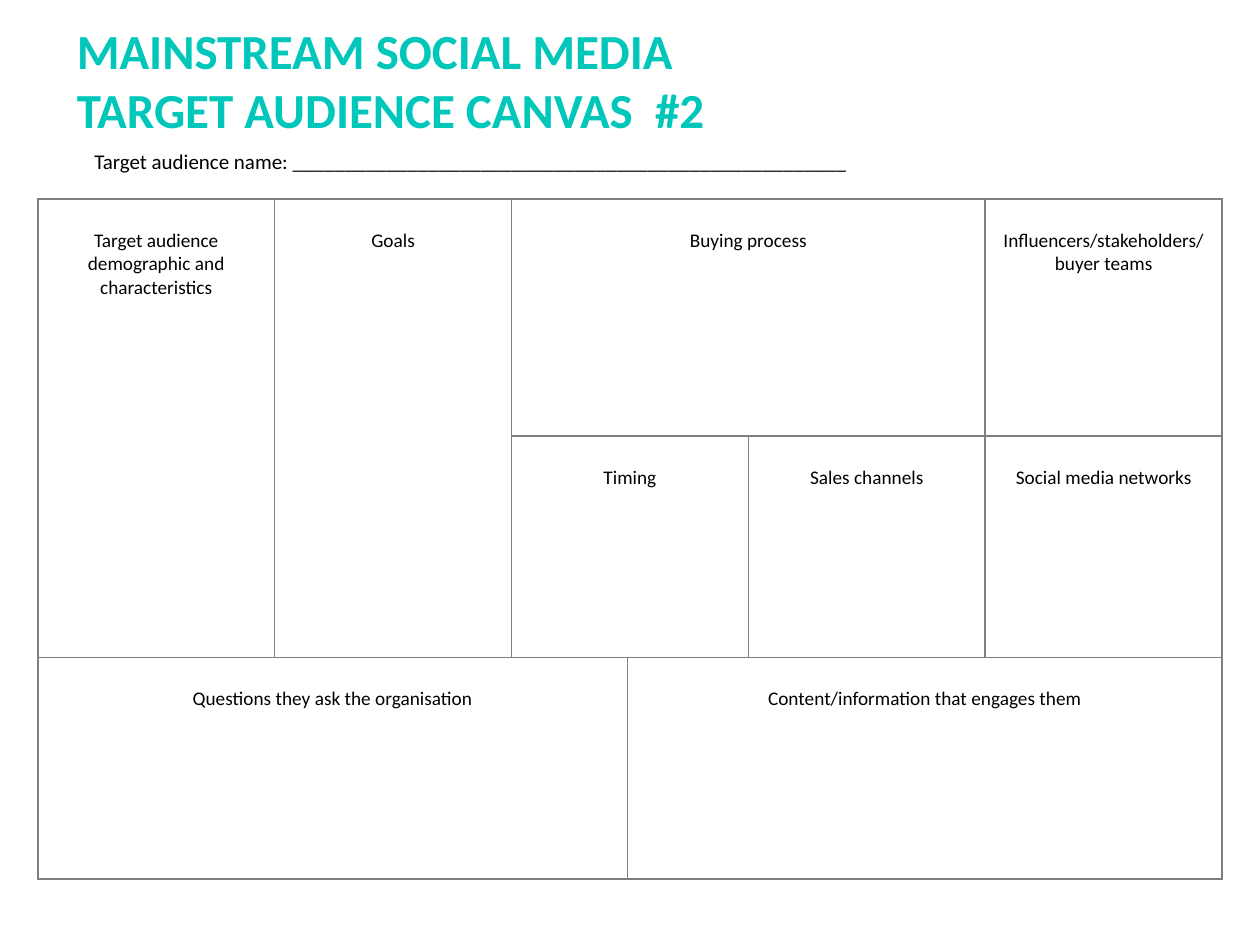
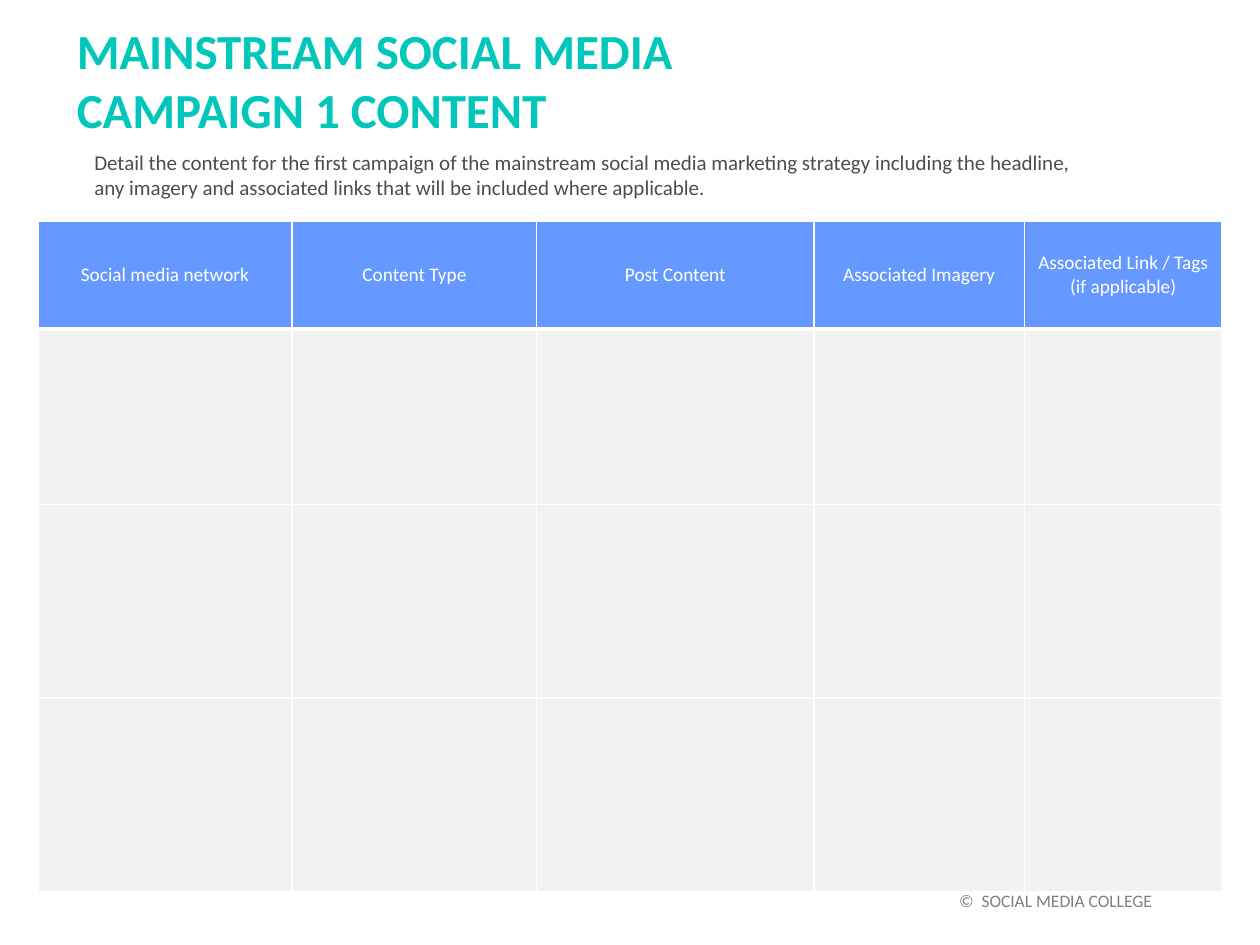
from dataclasses import dataclass

from lxml import etree
from pptx import Presentation
from pptx.dml.color import RGBColor
from pptx.enum.text import MSO_ANCHOR, MSO_AUTO_SIZE, PP_ALIGN
from pptx.oxml.ns import qn
from pptx.util import Pt

LEFT, CENTER, RIGHT = PP_ALIGN.LEFT, PP_ALIGN.CENTER, PP_ALIGN.RIGHT
TOP, MIDDLE = MSO_ANCHOR.TOP, MSO_ANCHOR.MIDDLE
NO_FIT = MSO_AUTO_SIZE.NONE
TITLE_ONLY = 5


@dataclass(frozen=True)
class Theme:
    font: str = "Calibri"
    teal: str = "00C7BA"
    black: str = "000000"
    white: str = "FFFFFF"
    charcoal: str = "4C4D4F"
    grey: str = "808080"
    rule: str = "7F7F7F"
    header: str = "6699FF"
    panel: str = "F2F2F2"
    title_size: int = 28
    intro_size: int = 12
    cell_size: int = 11
    footer_size: int = 10
    table_left: float = 21.6
    table_width: float = 676.8


class Deck:
    def __init__(self, theme):
        self.theme = theme
        self.prs = Presentation()
        self.prs.slide_width, self.prs.slide_height = Pt(720), Pt(540)
        self.slide = None

    def add_lines(self, tf, lines, size, color, align=LEFT, bold=False):
        for i, line in enumerate(lines):
            p = tf.add_paragraph() if i else tf.paragraphs[0]
            p.alignment = align
            r = p.add_run()
            r.text = line
            r.font.name = self.theme.font
            r.font.size = Pt(size)
            r.font.bold = bold
            r.font.color.rgb = RGBColor.from_string(color)

    def frame(self, sp, anchor):
        tf = sp.text_frame
        tf.word_wrap = True
        tf.auto_size = NO_FIT
        tf.vertical_anchor = anchor
        return tf

    def add_slide(self, *title):
        self.slide = self.prs.slides.add_slide(self.prs.slide_layouts[TITLE_ONLY])
        sp = self.slide.shapes.title
        sp.left, sp.top, sp.width, sp.height = Pt(36.7), Pt(7.9), Pt(646), Pt(74.9)
        self.add_lines(self.frame(sp, MIDDLE), title, self.theme.title_size,
                       self.theme.teal, bold=True)

    def text(self, x, y, w, h, line, size, color, align=LEFT, anchor=MIDDLE):
        sp = self.slide.shapes.add_textbox(Pt(x), Pt(y), Pt(w), Pt(h))
        self.add_lines(self.frame(sp, anchor), [line], size, color, align)

    def table(self, y, cols, rows, has_header):
        sp = self.slide.shapes.add_table(
            len(rows), len(cols), Pt(self.theme.table_left), Pt(y),
            Pt(self.theme.table_width), Pt(sum(rows)))
        tbl = sp.table
        tbl.first_row, tbl.horz_banding = has_header, False
        for col, width in zip(tbl.columns, cols):
            col.width = Pt(width)
        for row, height in zip(tbl.rows, rows):
            row.height = Pt(height)
        return tbl

    def style_cell(self, cell, border, fill=None, top=1, bottom=1):
        tc_pr = cell._tc.get_or_add_tcPr()
        for side, width in (("L", 1), ("R", 1), ("T", top), ("B", bottom)):
            ln = etree.SubElement(tc_pr, qn(f"a:ln{side}"), w=str(Pt(width)))
            solid = etree.SubElement(ln, qn("a:solidFill"))
            etree.SubElement(solid, qn("a:srgbClr"), val=border)
        if fill:
            cell.fill.solid()
            cell.fill.fore_color.rgb = RGBColor.from_string(fill)
        else:
            cell.fill.background()

    def cell_text(self, cell, line, color, anchor):
        cell.vertical_anchor = anchor
        self.add_lines(cell.text_frame, [line], self.theme.cell_size, color, CENTER)


def audience_canvas(deck):
    th = deck.theme
    deck.add_slide("MAINSTREAM SOCIAL MEDIA", "TARGET AUDIENCE CANVAS  #2")
    fifth = th.table_width / 5
    split = 66.24
    cols = [fifth, fifth, split, fifth - split, fifth, fifth]
    tbl = deck.table(113.7, cols, [135.36, 126.6, 126.6], False)
    for cell in tbl.iter_cells():
        deck.style_cell(cell, th.rule)

    panels = [
        (0, 0, 2, 1, "Target audience demographic and characteristics"),
        (0, 1, 2, 1, "Goals"),
        (0, 2, 1, 3, "Buying process"),
        (0, 5, 1, 1, "Influencers/stakeholders/buyer teams"),
        (1, 2, 1, 2, "Timing"),
        (1, 4, 1, 1, "Sales channels"),
        (1, 5, 1, 1, "Social media networks"),
        (2, 0, 1, 3, "Questions they ask the organisation"),
        (2, 3, 1, 3, "Content/information that engages them"),
    ]
    for row, col, row_span, col_span, label in panels:
        cell = tbl.cell(row, col)
        if row_span * col_span > 1:
            cell.merge(tbl.cell(row + row_span - 1, col + col_span - 1))
        cell.margin_top = Pt(17)
        deck.cell_text(cell, label, th.black, TOP)

    deck.text(46.8, 81.4, 645.8, 21.6, "Target audience name: " + "_" * 53,
              th.intro_size, th.black)


def campaign_content(deck):
    th = deck.theme
    deck.add_slide("MAINSTREAM SOCIAL MEDIA", "CAMPAIGN 1 CONTENT")
    deck.text(21.6, 500.4, 643.7, 28.8, "©  SOCIAL MEDIA COLLEGE",
              th.footer_size, th.grey, RIGHT)
    headings = ["Social media network", "Content Type", "Post Content",
                "Associated Imagery", "Associated Link / Tags (if applicable)"]
    cols = [145.4, 139.7, 158.4, 120.3, 113]
    tbl = deck.table(126.3, cols, [61.6, 100.4, 110.6, 110.6], True)
    for i, row in enumerate(tbl.rows):
        for cell in row.cells:
            deck.style_cell(cell, th.white, th.panel if i else th.header,
                            top=3 if i == 1 else 1, bottom=1 if i else 3)
    for cell, heading in zip(tbl.rows[0].cells, headings):
        deck.cell_text(cell, heading, th.white, MIDDLE)
    deck.text(46.8, 82.1, 591.8, 36,
              "Detail the content for the first campaign of the mainstream social "
              "media marketing strategy including the headline, any imagery and "
              "associated links that will be included where applicable.",
              th.intro_size, th.charcoal, anchor=TOP)


def main():
    deck = Deck(Theme())
    audience_canvas(deck)
    campaign_content(deck)
    deck.prs.save("out.pptx")


if __name__ == "__main__":
    main()
